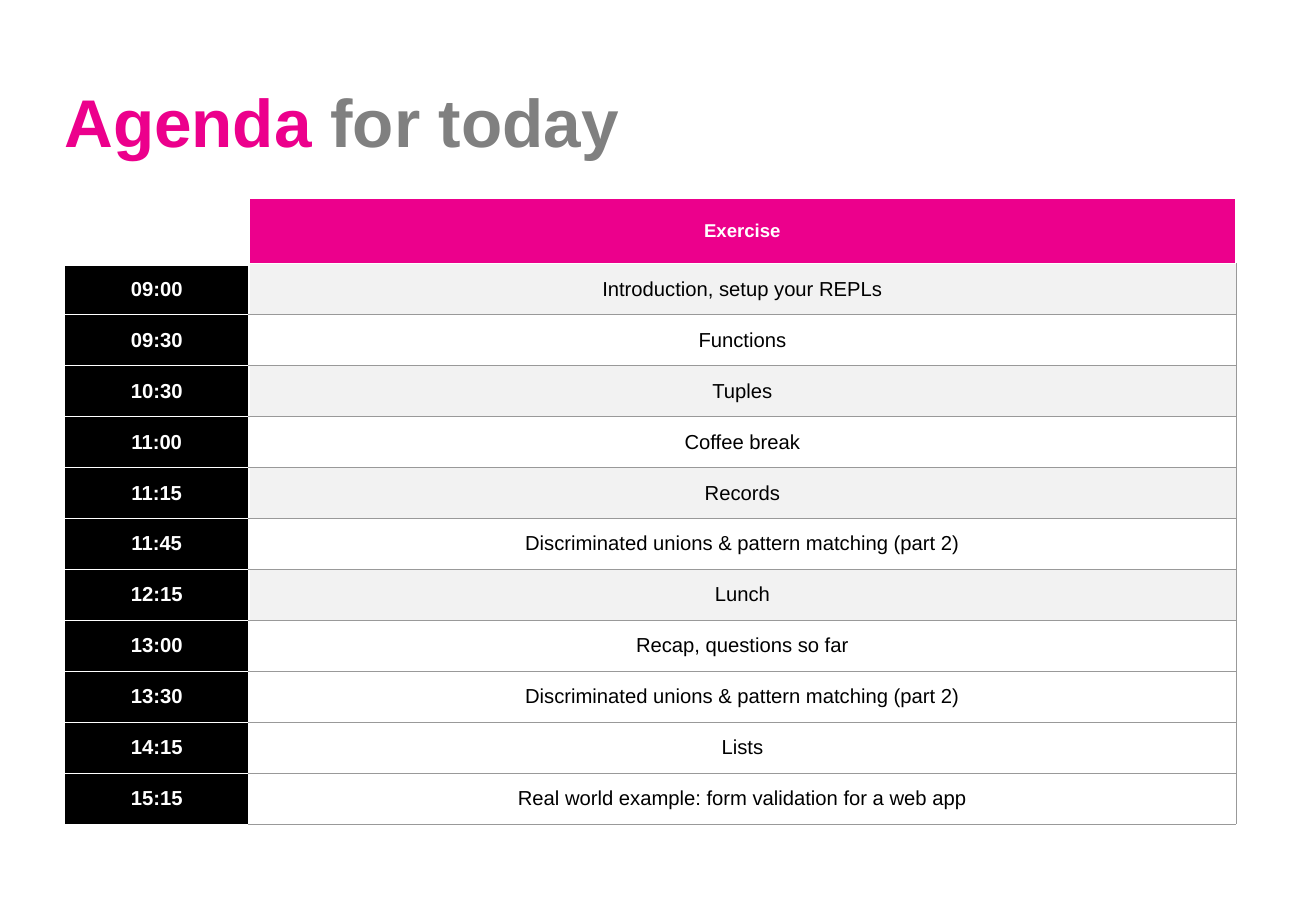
from dataclasses import dataclass

from lxml.etree import SubElement
from pptx import Presentation
from pptx.dml.color import RGBColor as RGB
from pptx.enum.text import MSO_ANCHOR as ANCHOR, PP_ALIGN as ALIGN
from pptx.oxml.ns import qn
from pptx.util import Inches, Pt

TITLE = [("Agenda ", "pink"), ("for today", "grey")]
HEADER = "Exercise"
AGENDA = [
    ("09:00", "Introduction, setup your REPLs", "band"),
    ("09:30", "Functions", "white"),
    ("10:30", "Tuples", "band"),
    ("11:00", "Coffee break", "white"),
    ("11:15", "Records", "band"),
    ("11:45", "Discriminated unions & pattern matching (part 2)", "white"),
    ("12:15", "Lunch", "band"),
    ("13:00", "Recap, questions so far", "white"),
    ("13:30", "Discriminated unions & pattern matching (part 2)", "white"),
    ("14:15", "Lists", "white"),
    ("15:15", "Real world example: form validation for a web app", "white"),
]
LEFT, TABLE_TOP = 0.53, 1.63
COLUMNS = (1.52, 8.12)
HEADER_HEIGHT, ROW_HEIGHT = 0.54, 0.42


@dataclass(frozen=True)
class Theme:
    font: str = "Arial"
    pink: str = "EC008C"
    grey: str = "808080"
    black: str = "000000"
    white: str = "FFFFFF"
    band: str = "F2F2F2"
    rule: str = "999999"
    title_size: int = 40
    header_size: int = 11
    body_size: int = 12


theme = Theme()
THICK, SOLID, HAIR = (theme.white, 3), (theme.white, 1), (theme.rule, 0.25)
WHITE_HAIR = (theme.white, 0.25)


def add_text(p, text, size=theme.body_size, color=theme.black, bold=False):
    r = p.add_run()
    r.text = text
    r.font.name = theme.font
    r.font.size = Pt(size)
    r.font.bold = bold
    r.font.color.rgb = RGB.from_string(color)


def set_borders(cell, left=SOLID, right=SOLID, top=SOLID, bottom=SOLID):
    tcPr = cell._tc.get_or_add_tcPr()
    sides = zip("LRTB", (left, right, top, bottom))
    for i, (side, (color, width)) in enumerate(sides):
        ln = SubElement(tcPr, qn(f"a:ln{side}"), w=str(Pt(width)))
        fill = SubElement(ln, qn("a:solidFill"))
        SubElement(fill, qn("a:srgbClr"), val=color)
        tcPr.insert(i, ln)


def fill_cell(cell, text, fill, borders, **text_format):
    cell.fill.solid()
    cell.fill.fore_color.rgb = RGB.from_string(fill)
    cell.vertical_anchor = ANCHOR.MIDDLE
    p = cell.text_frame.paragraphs[0]
    p.alignment = ALIGN.CENTER
    add_text(p, text, **text_format)
    set_borders(cell, **borders)


def add_title(slide):
    sp = slide.shapes.title
    sp.left, sp.top = Inches(LEFT), Inches(0.6)
    sp.width, sp.height = Inches(9.78), Inches(0.79)
    tf = sp.text_frame
    tf.margin_left = tf.margin_right = tf.margin_top = tf.margin_bottom = 0
    tf.vertical_anchor = ANCHOR.MIDDLE
    p = tf.paragraphs[0]
    p.alignment = ALIGN.LEFT
    for text, color in TITLE:
        add_text(p, text, size=theme.title_size, color=getattr(theme, color), bold=True)


def add_agenda(slide):
    heights = [HEADER_HEIGHT] + [ROW_HEIGHT] * len(AGENDA)
    table = slide.shapes.add_table(
        len(heights), len(COLUMNS), Inches(LEFT), Inches(TABLE_TOP),
        Inches(sum(COLUMNS)), Inches(sum(heights))).table
    for column, width in zip(table.columns, COLUMNS):
        column.width = Inches(width)
    for row, height in zip(table.rows, heights):
        row.height = Inches(height)

    corner = table.cell(0, 0)
    corner.fill.background()
    set_borders(corner, bottom=THICK)
    fill_cell(table.cell(0, 1), HEADER, theme.pink, {"bottom": WHITE_HAIR},
              size=theme.header_size, color=theme.white, bold=True)
    for i, (time, exercise, fill) in enumerate(AGENDA, 1):
        first = i == 1
        fill_cell(table.cell(i, 0), time, theme.black,
                  {"top": THICK if first else SOLID},
                  color=theme.white, bold=True)
        fill_cell(table.cell(i, 1), exercise, getattr(theme, fill),
                  {"top": WHITE_HAIR if first else HAIR, "right": HAIR, "bottom": HAIR})


def main():
    prs = Presentation()
    prs.slide_width, prs.slide_height = Inches(10.83), Inches(7.5)
    slide = prs.slides.add_slide(prs.slide_layouts[5])
    add_title(slide)
    add_agenda(slide)
    prs.save("out.pptx")


if __name__ == "__main__":
    main()
